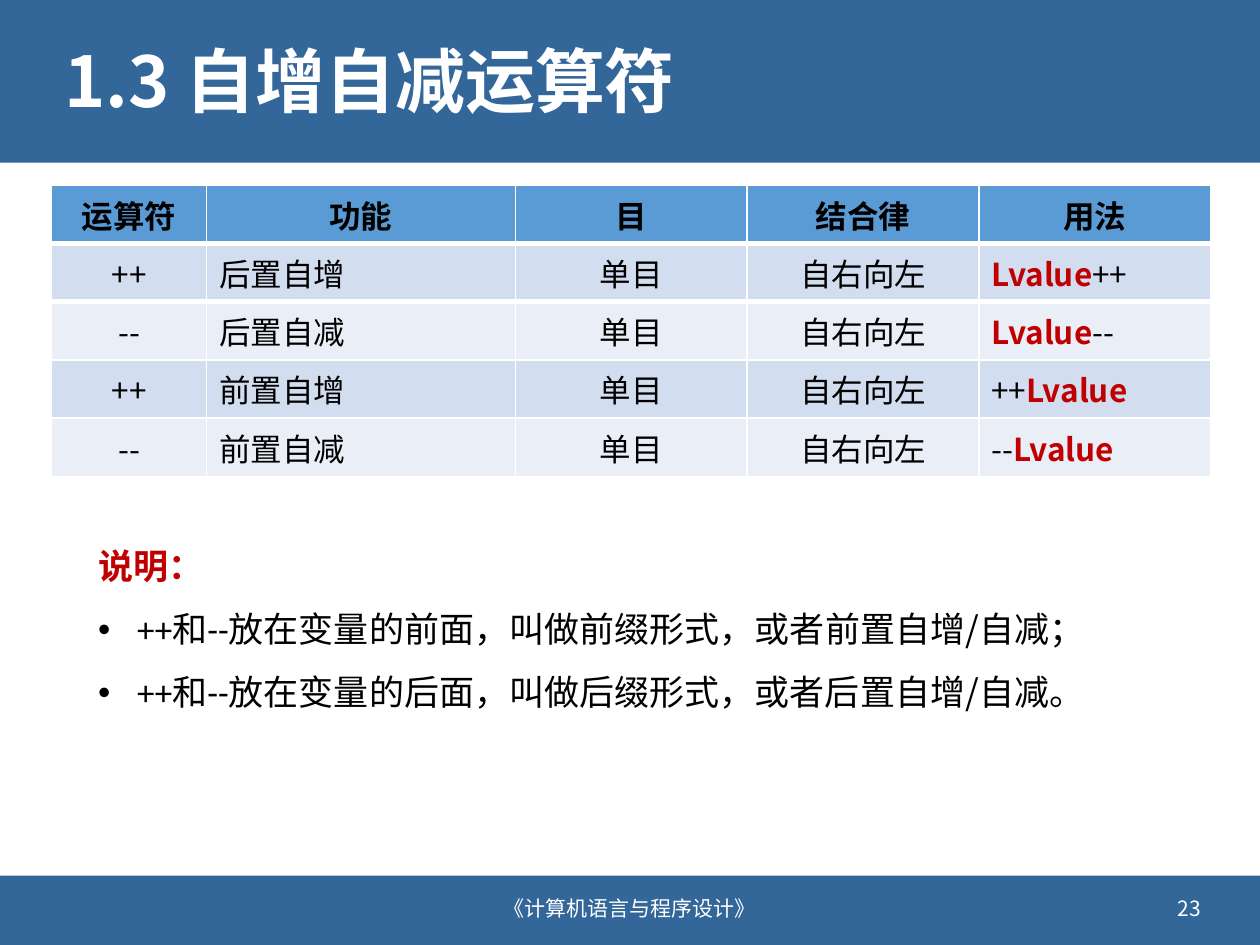
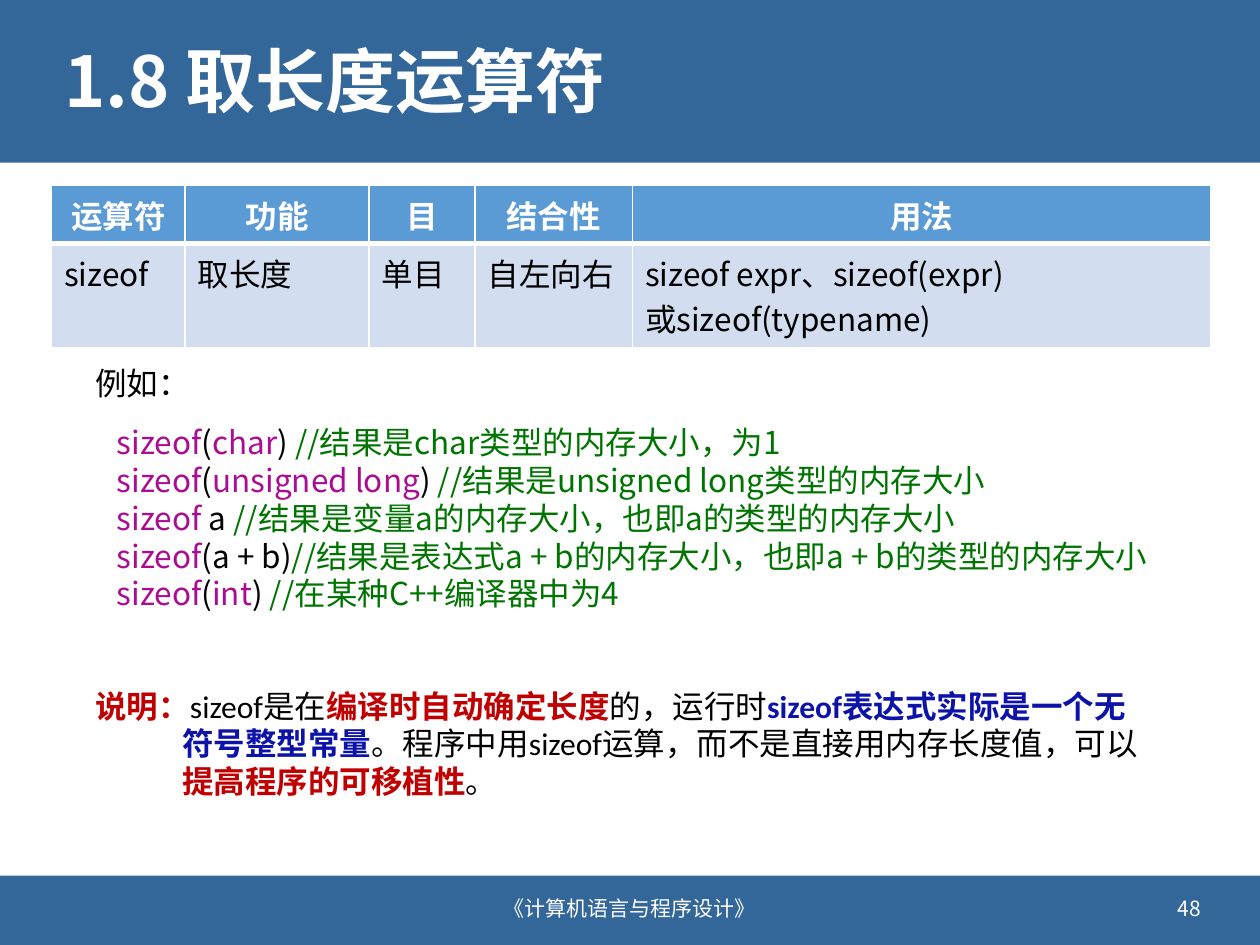
from lxml import etree
from pptx import Presentation
from pptx.dml.color import RGBColor
from pptx.enum.shapes import MSO_SHAPE
from pptx.enum.text import MSO_ANCHOR, MSO_AUTO_SIZE, PP_ALIGN
from pptx.oxml.ns import qn
from pptx.util import Inches, Pt

LEFT, CENTER, RIGHT = PP_ALIGN.LEFT, PP_ALIGN.CENTER, PP_ALIGN.RIGHT
MIDDLE = MSO_ANCHOR.MIDDLE
RECTANGLE = MSO_SHAPE.RECTANGLE
GROW, FIXED = MSO_AUTO_SIZE.SHAPE_TO_FIT_TEXT, MSO_AUTO_SIZE.NONE

SANS, LATIN = "Noto Sans CJK SC", "Calibri"
BAND, HEADER, ROW_FILLS = "336699", "5B9BD5", ("D2DEEF", "EAEFF7")
WHITE, BLACK, RED, BLUE = "FFFFFF", "000000", "C00000", "0D13A9"
KEYWORD, COMMENT = "AA0D91", "007400"
FOOTER = "《计算机语言与程序设计》"
BANDS = [(0, 0, 10, 1.29), (0, 6.95, 10, 0.55)]
TABLE_LEFT, TABLE_TOP, ROW_HEIGHT = 0.41, 1.47, 0.41

LVALUE = ("Lvalue", RED, True)
INCREMENT = {
    "title": "1.3 自增自减运算符",
    "number": "23",
    "header_color": BLACK,
    "columns": [("运算符", 1.23, CENTER), ("功能", 2.45, LEFT), ("目", 1.84, CENTER),
                ("结合律", 1.84, CENTER), ("用法", 1.84, LEFT)],
    "rows": [
        ["++", "后置自增", "单目", "自右向左", [LVALUE, "++"]],
        ["--", "后置自减", "单目", "自右向左", [LVALUE, "--"]],
        ["++", "前置自增", "单目", "自右向左", ["++", LVALUE]],
        ["--", "前置自减", "单目", "自右向左", ["--", LVALUE]],
    ],
}
INCREMENT_NOTES = [
    [("说明：", RED, True, LATIN)],
    [("++和--放在变量的前面，叫做前缀形式，或者", BLACK, False, LATIN), "前置自增/自减；"],
    [("++和--放在变量的后面，叫做后缀形式，或者后", BLACK, False, LATIN), "置自增/自减。"],
]

SIZEOF = {
    "title": "1.8 取长度运算符",
    "number": "48",
    "header_color": WHITE,
    "columns": [("运算符", 1.06, LEFT), ("功能", 1.46, LEFT), ("目", 0.84, LEFT),
                ("结合性", 1.25, LEFT), ("用法", 4.59, LEFT)],
    "rows": [["sizeof", "取长度", "单目", "自左向右",
              "sizeof expr、sizeof(expr)\n或sizeof(typename)"]],
}
OPERATOR = ("sizeof", KEYWORD)
SIZEOF_CODE = [
    [OPERATOR, "(", ("char", KEYWORD), ") ", ("//结果是char类型的内存大小，为1", COMMENT)],
    [OPERATOR, "(", ("unsigned long", KEYWORD), ") ",
     ("//结果是unsigned long类型的内存大小", COMMENT)],
    [OPERATOR, " a ", ("//结果是变量a的内存大小，也即a的类型的内存大小", COMMENT)],
    [OPERATOR, "(a + b)",
     ("//结果是表达式a + b的内存大小，也即a + b的类型的内存大小", COMMENT)],
    [OPERATOR, "(", ("int", KEYWORD), ") ", ("//在某种C++编译器中为4", COMMENT)],
]
SIZEOF_NOTE = [[(text, color, color != BLACK, LATIN) for text, color in [
    ("说明：", RED),
    ("sizeof是在", BLACK),
    ("编译时自动确定长度", RED),
    ("的，运行时", BLACK),
    ("sizeof表达式实际是一个无符号整型常量", BLUE),
    ("。程序中用sizeof运算，而不是直接用内存长度值，可以", BLACK),
    ("提高程序的可移植性", RED),
    ("。", BLACK),
]]]


def rgb(color):
    return RGBColor.from_string(color)


def fill(part, color):
    part.fill.solid()
    part.fill.fore_color.rgb = rgb(color)


def add_border(cell, side, points):
    line = etree.SubElement(cell._tc.get_or_add_tcPr(), qn(f"a:{side}"))
    line.set("w", str(Pt(points)))
    solid = etree.SubElement(line, qn("a:solidFill"))
    etree.SubElement(solid, qn("a:srgbClr")).set("val", WHITE)


def add_run(paragraph, size, text, color=BLACK, bold=False, face=SANS):
    for index, line in enumerate(text.split("\n")):
        if index:
            paragraph.add_line_break()
        run = paragraph.add_run()
        run.text = line
        font = run.font
        font.size, font.bold, font.name = Pt(size), bold, face
        font.color.rgb = rgb(color)
        east_asian = etree.SubElement(font._element, qn("a:ea"))
        east_asian.set("typeface", SANS)


def add_runs(paragraph, pieces, size, align=LEFT):
    paragraph.alignment = align
    for piece in [pieces] if isinstance(pieces, str) else pieces:
        add_run(paragraph, size, *([piece] if isinstance(piece, str) else piece))


def indent(paragraph, width, bullet=None):
    properties = paragraph._p.get_or_add_pPr()
    properties.set("marL", str(Inches(width)))
    properties.set("indent", str(-Inches(width)))
    if bullet:
        etree.SubElement(properties, qn("a:buFont")).set("typeface", "Arial")
        etree.SubElement(properties, qn("a:buChar")).set("char", bullet)


def add_text(slide, place, paragraphs, size, align=LEFT, wrap=True, anchor=None):
    frame = slide.shapes.add_textbox(*map(Inches, place)).text_frame
    frame.word_wrap = wrap
    frame.auto_size = FIXED if anchor else GROW
    if anchor:
        frame.vertical_anchor = anchor
    for index, pieces in enumerate(paragraphs):
        paragraph = frame.add_paragraph() if index else frame.paragraphs[0]
        add_runs(paragraph, pieces, size, align)
    return frame.paragraphs


def add_operator_table(slide, content):
    columns, rows = content["columns"], content["rows"]
    width = sum(column[1] for column in columns)
    height = ROW_HEIGHT * (len(rows) + 1)
    table = slide.shapes.add_table(
        len(rows) + 1, len(columns),
        *map(Inches, (TABLE_LEFT, TABLE_TOP, width, height))).table
    for row in table.rows:
        row.height = Inches(ROW_HEIGHT)
    for col, (heading, column_width, align) in enumerate(columns):
        table.columns[col].width = Inches(column_width)
        cell = table.cell(0, col)
        add_border(cell, "lnB", 3)
        add_border(table.cell(1, col), "lnT", 3)
        fill(cell, HEADER)
        add_runs(cell.text_frame.paragraphs[0],
                 [(heading, content["header_color"], True)], 18, CENTER)
        for index, row in enumerate(rows):
            cell = table.cell(index + 1, col)
            fill(cell, ROW_FILLS[index % 2])
            add_runs(cell.text_frame.paragraphs[0], row[col], 18, align)


def add_operator_slide(deck, content):
    slide = deck.slides.add_slide(deck.slide_layouts[5])
    for place in BANDS:
        band = slide.shapes.add_shape(RECTANGLE, *map(Inches, place))
        band.shadow.inherit = False
        fill(band, BAND)
        band.line.fill.background()
    title = slide.shapes.title
    slide.shapes._spTree.append(title._element)
    title.left, title.top, title.width, title.height = map(Inches, (0.41, 0.18, 9.19, 0.99))
    frame = title.text_frame
    frame.auto_size, frame.vertical_anchor = FIXED, MIDDLE
    add_runs(frame.paragraphs[0], [(content["title"], WHITE, True)], 40)
    frame.paragraphs[0].line_spacing = 0.9
    add_text(slide, (3.2, 7.01, 3.6, 0.4), [[(FOOTER, WHITE)]], 12, CENTER, anchor=MIDDLE)
    add_text(slide, (7.23, 7.01, 2.4, 0.4), [[(content["number"], WHITE)]], 12, RIGHT,
             anchor=MIDDLE)
    add_operator_table(slide, content)
    return slide


def main():
    deck = Presentation()
    deck.slide_width, deck.slide_height = Inches(10), Inches(7.5)

    increment = add_operator_slide(deck, INCREMENT)
    notes = add_text(increment, (0.68, 4.11, 8.65, 1.56), INCREMENT_NOTES, 20)
    for index, paragraph in enumerate(notes):
        paragraph.line_spacing = 1.5
        if index:
            indent(paragraph, 0.31, "•")

    sizeof = add_operator_slide(deck, SIZEOF)
    add_text(sizeof, (0.83, 3.31, 8.97, 1.62), SIZEOF_CODE, 18)
    note = add_text(sizeof, (0.66, 5.4, 8.54, 1.01), SIZEOF_NOTE, 18)
    indent(note[0], 0.69)
    add_text(sizeof, (0.66, 2.84, 0.96, 0.4), ["例如："], 18, wrap=False)

    deck.save("out.pptx")


if __name__ == "__main__":
    main()
